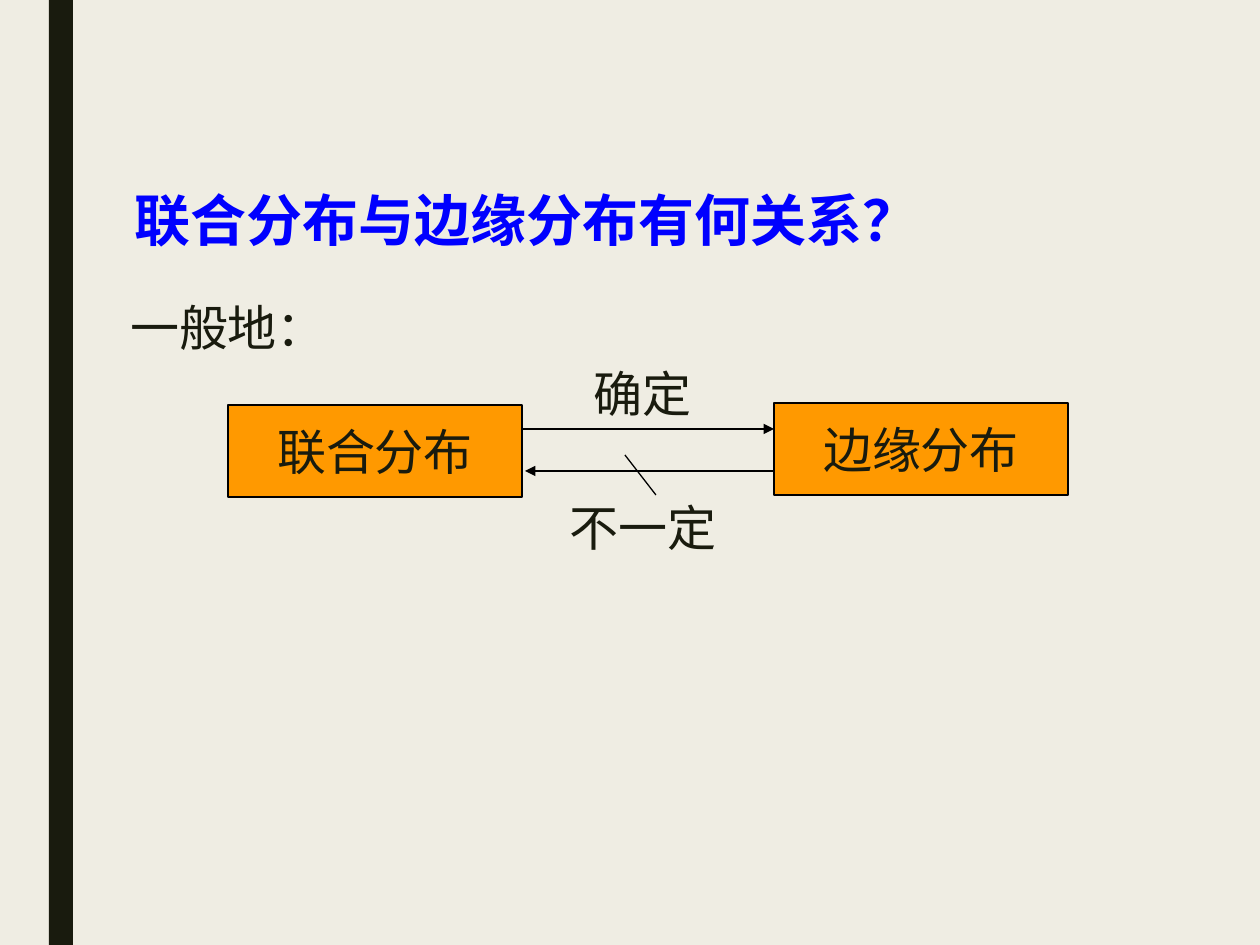
from dataclasses import dataclass

from lxml.etree import SubElement
from pptx import Presentation
from pptx.dml.color import RGBColor
from pptx.enum.shapes import MSO_CONNECTOR, MSO_SHAPE
from pptx.enum.text import MSO_ANCHOR, MSO_AUTO_SIZE, PP_ALIGN
from pptx.oxml.ns import qn
from pptx.util import Emu, Pt

PX = 914400 // 126


def px(length):
    return Emu(length * PX)


@dataclass(frozen=True)
class Theme:
    background: str = "EFEDE3"
    ink: str = "191B0E"
    heading: str = "0000FF"
    node: str = "FF9900"
    line: str = "000000"
    font: str = "Times New Roman"
    heading_size: int = 32
    body_size: int = 28
    line_width: float = 0.75


def write(shape, text, *, theme, size, color, bold=False, align=PP_ALIGN.CENTER):
    frame = shape.text_frame
    frame.auto_size = MSO_AUTO_SIZE.NONE
    frame.word_wrap = False
    frame.vertical_anchor = MSO_ANCHOR.MIDDLE
    para = frame.paragraphs[0]
    para.alignment = align
    span = para.add_run()
    span.text = text
    span.font.name = theme.font
    span.font.size = Pt(size)
    span.font.bold = bold
    span.font.color.rgb = RGBColor.from_string(color)


class SlideBuilder:
    def __init__(self, deck, theme):
        self.theme = theme
        self.slide = deck.slides.add_slide(deck.slide_layouts[5])
        fill = self.slide.background.fill
        fill.solid()
        fill.fore_color.rgb = RGBColor.from_string(theme.background)

    def title(self, text, left, top, width, height):
        box = self.slide.shapes.title
        box.left, box.top, box.width, box.height = map(px, (left, top, width, height))
        write(box, text, theme=self.theme, size=self.theme.heading_size,
              color=self.theme.heading, bold=True, align=PP_ALIGN.LEFT)

    def rectangle(self, left, top, width, height, color):
        box = self.slide.shapes.add_shape(
            MSO_SHAPE.RECTANGLE, *map(px, (left, top, width, height)))
        box.shadow.inherit = False
        box.fill.solid()
        box.fill.fore_color.rgb = RGBColor.from_string(color)
        box.line.fill.background()
        return box

    def node(self, text, left, top, width, height):
        box = self.rectangle(left, top, width, height, self.theme.node)
        self.outline(box.line)
        self.body_text(box, text)

    def label(self, text, left, top, width, height):
        box = self.slide.shapes.add_textbox(*map(px, (left, top, width, height)))
        self.body_text(box, text)

    def line(self, start, end, arrow=False):
        connector = self.slide.shapes.add_connector(
            MSO_CONNECTOR.STRAIGHT, *map(px, (*start, *end)))
        self.outline(connector.line)
        if arrow:
            SubElement(connector.line._get_or_add_ln(), qn("a:tailEnd"), type="triangle")
        SubElement(connector._element.spPr, qn("a:effectLst"))

    def outline(self, line):
        line.color.rgb = RGBColor.from_string(self.theme.line)
        line.width = Pt(self.theme.line_width)

    def body_text(self, box, text):
        write(box, text, theme=self.theme, size=self.theme.body_size,
              color=self.theme.ink)


def main():
    deck = Presentation()
    deck.slide_width, deck.slide_height = px(1260), px(945)
    theme = Theme()
    page = SlideBuilder(deck, theme)

    page.rectangle(49, 0, 24, 945, theme.ink)
    page.title("联合分布与边缘分布有何关系？", 122, 180, 809, 79)
    page.label("一般地：", 117, 291, 222, 72)

    page.node("联合分布", 228, 405, 294, 92)
    page.node("边缘分布", 774, 403, 294, 92)

    page.line((522, 429), (774, 429), arrow=True)
    page.label("确定", 581, 357, 123, 72)
    page.line((774, 471), (525, 471), arrow=True)
    page.line((625, 455), (656, 495))
    page.label("不一定", 557, 491, 172, 72)

    deck.save("out.pptx")


if __name__ == "__main__":
    main()
